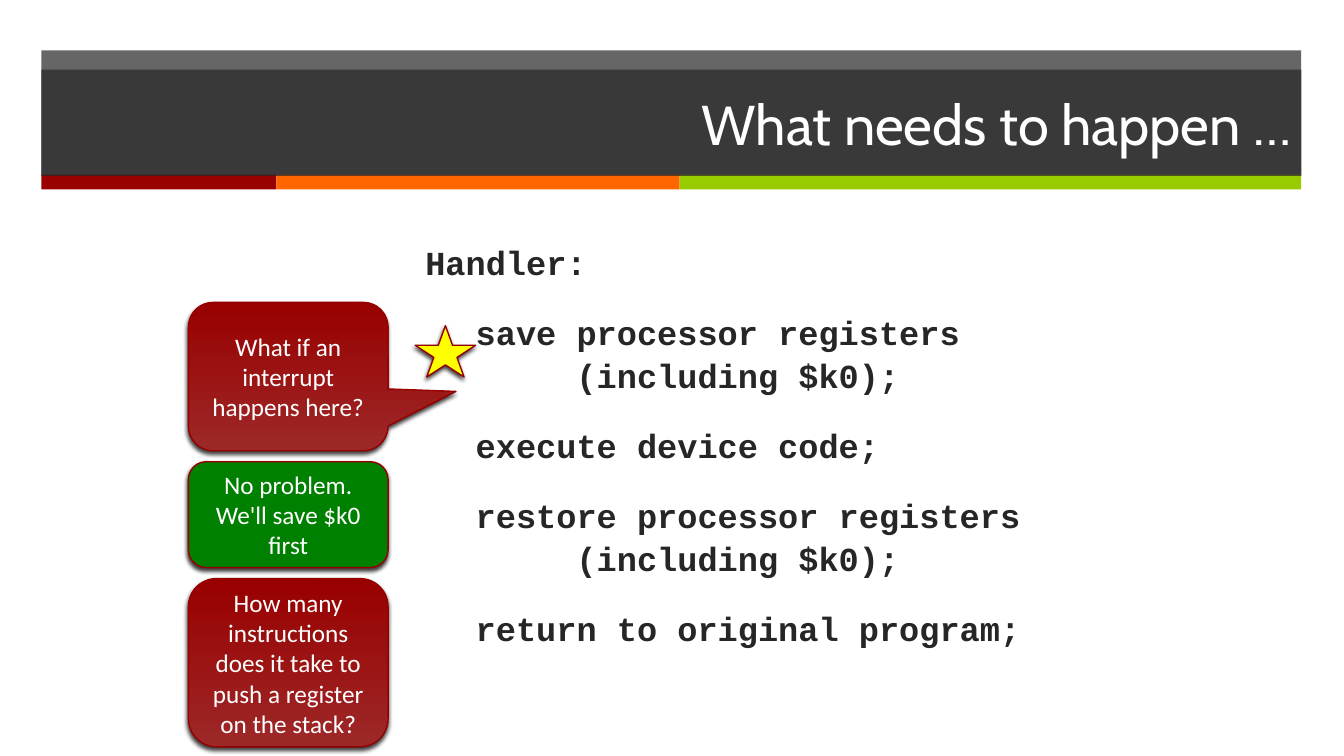
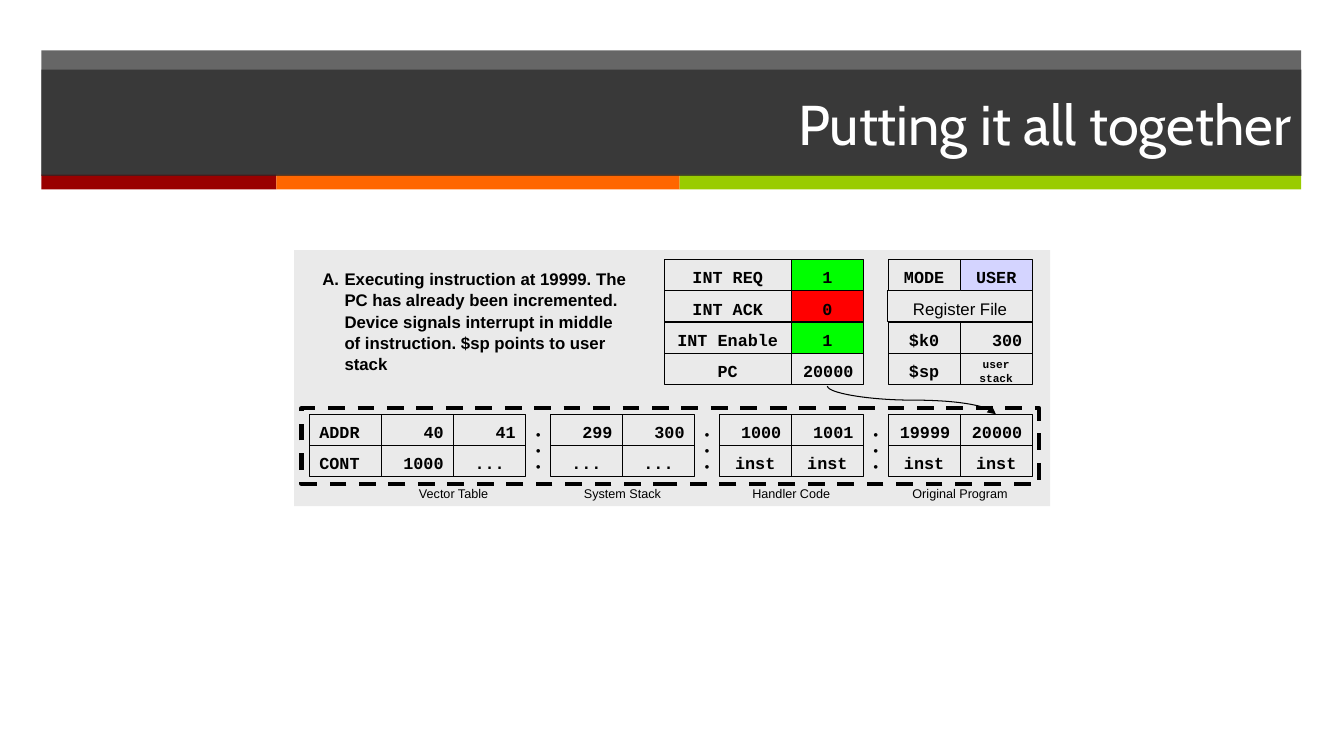
"""Build two slides on interrupt handling."""
from lxml import etree
from pptx import Presentation
from pptx.dml.color import RGBColor
from pptx.enum import dml, shapes, text
from pptx.oxml import ns
from pptx.util import Pt

DARK = RGBColor(0x26, 0x26, 0x26)
WHITE = RGBColor(0xFF, 0xFF, 0xFF)
BLACK = RGBColor(0, 0, 0)
RED = RGBColor(0x99, 0, 0)
ORANGE = RGBColor(0xFF, 0x66, 0)
LIME = RGBColor(0x99, 0xCC, 0)
BRICK = RGBColor(0x9D, 0x28, 0x28)
EDGE = RGBColor(0x96, 0, 0)
YELLOW = RGBColor(0xFF, 0xFF, 0)
GREEN = RGBColor(0, 0x80, 0)
PANEL = RGBColor(0xEA, 0xEA, 0xEA)
ON = RGBColor(0, 0xFF, 0)
OFF = RGBColor(0xFF, 0, 0)
LILAC = RGBColor(0xD4, 0xD4, 0xFF)
MONO = "Courier New"
FORM = shapes.MSO_SHAPE
LEFT, MID, RIGHT = text.PP_ALIGN.LEFT, text.PP_ALIGN.CENTER, text.PP_ALIGN.RIGHT


def draw(slide, kind, spot, fill=None, line=None, width=0.75):
    """Add a plain shape without shadow."""
    shape = slide.shapes.add_shape(kind, *map(Pt, spot))
    shape.shadow.inherit = False
    if fill is None:
        shape.fill.background()
    else:
        shape.fill.solid()
        shape.fill.fore_color.rgb = fill
    if line is None:
        shape.line.fill.background()
    else:
        shape.line.color.rgb = line
        shape.line.width = Pt(width)
    return shape


def write(shape, words, size, face, color=BLACK, align=MID, bold=False, space=None):
    """Fill a shape with evenly formatted text."""
    frame = shape.text_frame
    frame.text = words
    frame.auto_size = text.MSO_AUTO_SIZE.NONE
    for para in frame.paragraphs:
        para.alignment = align
        para.line_spacing = space
        para.font.size = Pt(size)
        para.font.name = face
        para.font.bold = bold
        para.font.color.rgb = color
    return frame


deck = Presentation()
deck.slide_width, deck.slide_height = Pt(960), Pt(540)
code = deck.slides.add_slide(deck.slide_layouts[1])
state = deck.slides.add_slide(deck.slide_layouts[5])

bands = [
    (29.5, 36, 900, 89.3, DARK),
    (29.5, 124.8, 168, 10.5, RED),
    (197.5, 124.8, 288, 10.5, ORANGE),
    (485.5, 124.8, 444, 10.5, LIME),
]
glass = []
head = deck.slide_master.placeholders[0]
for num, (*spot, color) in enumerate(bands, 20):
    band = draw(code, FORM.RECTANGLE, spot, color)
    band.element.xpath(".//p:cNvPr")[0].set("id", str(num))
    head.element.addprevious(band.element)
    if color == DARK:
        glass.append(band)

for slide, words in ((code, "What needs to happen …"), (state, "Putting it all together")):
    title = slide.shapes.title
    title.left, title.top, title.width, title.height = map(Pt, (29.5, 49.7, 900, 76))
    title.fill.solid()
    title.fill.fore_color.rgb = DARK
    write(title, words, 40, "Cabin", WHITE, RIGHT).vertical_anchor = text.MSO_ANCHOR.MIDDLE
    glass.append(title)
for pane in glass:
    tint = pane.element.xpath("./p:spPr/a:solidFill/a:srgbClr")[0]
    etree.SubElement(tint, ns.qn("a:alpha"), val="70000")

body = code.placeholders[1]
body.left, body.top, body.width, body.height = map(Pt, (296.6, 167.8, 520.6, 314.6))
steps = [
    "Handler:",
    "\tsave processor registers\v\t(including $k0);",
    "\texecute device code;",
    "\trestore processor registers\v\t(including $k0);",
    "\treturn to original program;",
]
frame = write(body, "\n".join(steps), 24, MONO, DARK, LEFT, True, 1.05)
frame.vertical_anchor = text.MSO_ANCHOR.TOP
for para in frame.paragraphs:
    para.space_before = Pt(20)
    props = para._p.get_or_add_pPr()
    props.set("marL", str(Pt(36)))
    props.set("indent", str(Pt(-36)))
    props.set("defTabSz", str(Pt(72)))
    props.insert_element_before(
        etree.SubElement(props, ns.qn("a:buNone")), "a:tabLst", "a:defRPr", "a:extLst")

notes = [
    (FORM.STAR_5_POINT, 296.6, 232.6, 43.2, 36.7, YELLOW, ""),
    (FORM.ROUNDED_RECTANGULAR_CALLOUT, 134.6, 216, 142.6, 106, RED,
     "What if an interrupt happens here?"),
    (FORM.ROUNDED_RECTANGLE, 134.6, 413.3, 142.6, 120.2, RED,
     "How many instructions does it take to push a register on the stack?"),
    (FORM.ROUNDED_RECTANGLE, 134.6, 329.8, 142.6, 75.6, GREEN,
     "No problem. We'll save $k0 first"),
]
for kind, *spot, color, words in notes:
    note = draw(code, kind, spot, color, EDGE, 1)
    if color == RED:
        note.fill.gradient()
        note.fill.gradient_angle = 90
        for stop, shade in zip(note.fill.gradient_stops, (BRICK, RED)):
            stop.color.rgb = shade
    if kind == FORM.ROUNDED_RECTANGULAR_CALLOUT:
        note.adjustments[0], note.adjustments[1] = 0.84, 0.1
    if words:
        write(note, words, 18, "Calibri", WHITE).vertical_anchor = text.MSO_ANCHOR.MIDDLE
    glow = etree.SubElement(
        note.element.xpath("./p:spPr/a:effectLst")[0], ns.qn("a:outerShdw"),
        blurRad=str(Pt(3)), dist=str(Pt(2)), dir=str(110 * 60000), rotWithShape="0")
    ink = etree.SubElement(glow, ns.qn("a:srgbClr"), val="000000")
    etree.SubElement(ink, ns.qn("a:alpha"), val="75000")

draw(state, FORM.RECTANGLE, (210.2, 178.6, 540, 182.9), PANEL)
wide, high, pitch = 51.5, 22.3, 120.6
first, top, row = 272.5, 185.4, 295.9
regs = first + 3 * pitch
flags = first + 2 * pitch + wide

cells = [
    (first - wide, row, wide, "ADDR", LEFT, None),
    (first - wide, row + high, wide, "CONT", LEFT, None),
    (regs, top + high, 2 * wide, "Register File", MID, None),
]
memory = [
    ("Vector Table", "40", "41", "1000", "..."),
    ("System Stack", "299", "300", "...", "..."),
    ("Handler Code", "1000", "1001", "inst", "inst"),
    ("Original Program", "19999", "20000", "inst", "inst"),
]
for num, (label, *words) in enumerate(memory):
    left = first + num * pitch
    for spot, word in enumerate(words):
        down, over = divmod(spot, 2)
        side = RIGHT if word.isdigit() else MID
        cells.append((left + over * wide, row + down * high, wide, word, side, None))
    name = state.shapes.add_textbox(*map(Pt, (left, 343.4, 2 * wide, 18)))
    write(name, label, 9, "Arial")
    if num:
        dots = state.shapes.add_textbox(*map(Pt, (left - 18, 301, 18, 40.3)))
        write(dots, "•\n•\n•", 9, "Arial", align=RIGHT, bold=True, space=1.05).word_wrap = False

signals = [("INT REQ", "1", ON), ("INT ACK", "0", OFF),
           ("INT Enable", "1", ON), ("PC", "20000", None)]
for num, (word, value, color) in enumerate(signals):
    y = top + num * high
    cells.append((flags - 90.7, y, 90.7, word, MID, None))
    cells.append((flags, y, wide, value, MID if color else RIGHT, color))

files = [(0, "MODE", "USER", MID, LILAC), (2, "$k0", "300", RIGHT, None),
         (3, "$sp", "user\nstack", MID, None)]
for num, word, value, side, color in files:
    y = top + num * high
    cells.append((regs, y, wide, word, MID, None))
    cells.append((regs + wide, y, wide, value, side, color))

for x, y, span, word, side, color in cells:
    cell = draw(state, FORM.RECTANGLE, (x, y, span, high), color, BLACK)
    plain = word == "Register File"
    frame = write(cell, word, 8 if "\n" in word else 12, "Arial" if plain else MONO,
                  align=side, bold=not plain)
    frame.word_wrap = False
    frame.vertical_anchor = text.MSO_ANCHOR.MIDDLE
    frame.margin_top, frame.margin_bottom = Pt(5), Pt(2)

for x, span, words in (
        (223.2, 31, "A."),
        (239, 217.4, "Executing instruction at 19999. The PC has already been incremented. "
                     "Device signals interrupt in middle of instruction. "
                     "$sp points to user stack")):
    task = state.shapes.add_textbox(*map(Pt, (x, 187.9, span, 82.8)))
    write(task, words, 12, "Arial", align=LEFT, bold=True, space=1.05).word_wrap = True

fence = draw(state, FORM.RECTANGLE, (215.3, 291.6, 527, 54), None, BLACK, 3)
fence.line.dash_style = dml.MSO_LINE.DASH

curve = state.shapes.add_connector(
    shapes.MSO_CONNECTOR.CURVE, *map(Pt, (661.2, 225.6, 641.1, 346)))
curve.element.spPr.find(ns.qn("a:xfrm")).set("rot", str(270 * 60000))
curve.line.color.rgb = BLACK
curve.line.width = Pt(0.75)
etree.SubElement(curve.line._get_or_add_ln(), ns.qn("a:tailEnd"), type="triangle")
etree.SubElement(curve.element.spPr, ns.qn("a:effectLst"))

deck.save("out.pptx")
